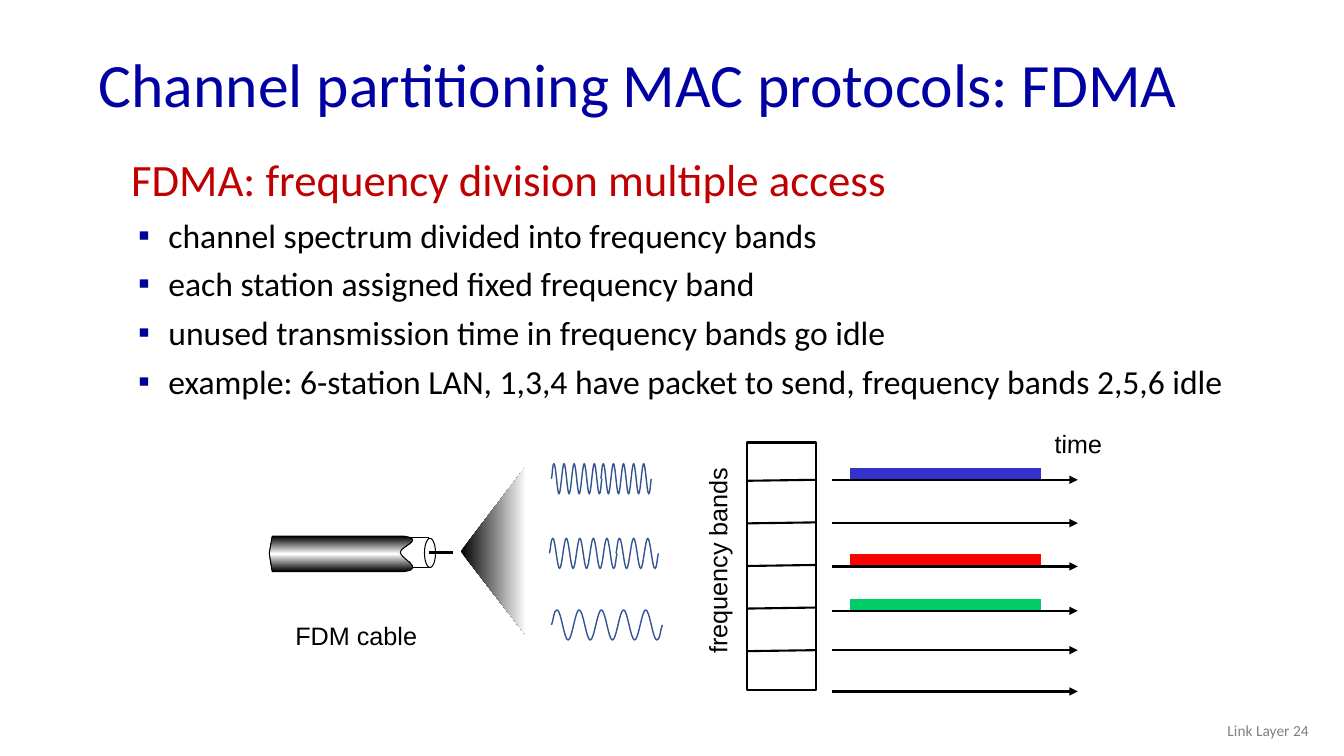
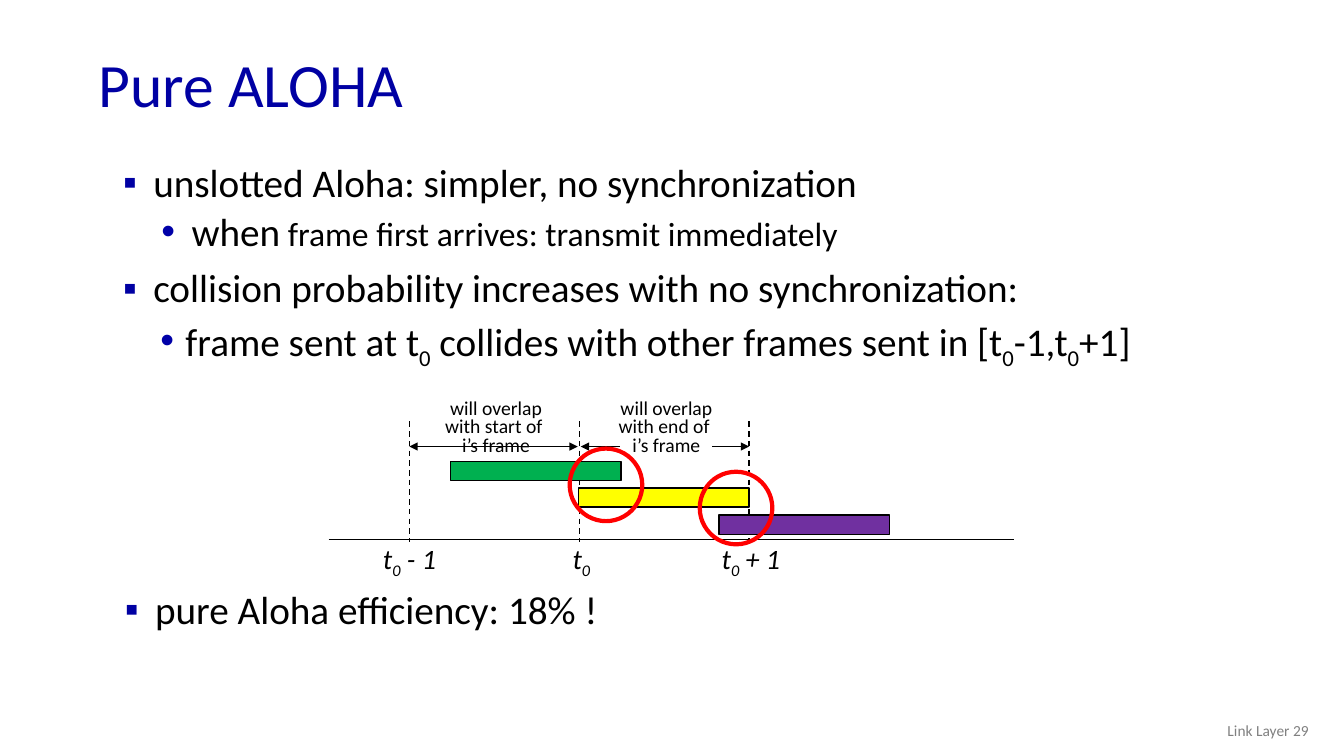
from lxml.etree import SubElement
from pptx import Presentation
from pptx.dml.color import RGBColor
from pptx.enum.dml import MSO_LINE_DASH_STYLE as Dash
from pptx.enum.shapes import MSO_CONNECTOR, MSO_SHAPE as Preset
from pptx.enum.text import MSO_ANCHOR, MSO_AUTO_SIZE, PP_ALIGN
from pptx.oxml.ns import qn
from pptx.util import Inches, Pt

# Shared look
COLORS = {
    "title": "0000A3", "heading": "C00000", "text": "000000", "footer": "808080",
    "square": "000099", "point": "0000A3", "dot": "0000A8",
    "line": "000000", "white": "FFFFFF", "wave": "325491",
    "blue": "3333CC", "red": "FF0000", "green": "00CC66",
    "early": "00B050", "frame": "FFFF00", "late": "7030A0",
}
FONT, LABEL_FONT = "Calibri", "Arial"
TITLE_PLACE = (0.88, 0.38, 11.5, 0.98)
FOOTER_PLACE = (10.08, 7.05, 3, 0.4)

# Paragraph styles: level, size, color, bullet, left, indent, line spacing, space before
STYLES = {
    "heading": (0, 32, "heading", None, 0.38, -0.38, 0.85, 0),
    "item": (0, 24, "text", ("▪", "square"), 0.37, -0.3, 1.0, 6),
    "point": (0, 28, "text", ("▪", "point"), 0.44, -0.3, 0.9, 10),
    "subpoint": (1, 28, "text", ("•", "dot"), 0.82, -0.3, 0.9, 5),
    "detail": (1, 28, "text", ("•", "dot"), 0.76, -0.25, 0.9, 5),
}

# Slide content; spans are (text, kind)
T0 = [("t", ""), ("0", "sub")]
FDMA_BODY = [
    ("heading", [("FDMA: frequency division multiple access", "")]),
    ("item", [("channel spectrum divided into frequency bands", "")]),
    ("item", [("each station assigned fixed frequency band", "")]),
    ("item", [("unused transmission time in frequency bands go idle", "")]),
    ("item", [("example: 6-station LAN, 1,3,4 have packet to send, "
               "frequency bands 2,5,6 idle", "")]),
]
BAND_ROWS = [(4.76, "blue"), (5.19, None), (5.62, "red"),
             (6.06, "green"), (6.45, None), (6.86, None)]
# Waves: left, right, middle, cycles
WAVES = [(5.47, 6.57, 6.2, 5), (5.47, 5.97, 4.75, 5), (5.96, 6.46, 4.75, 5),
         (5.45, 6.12, 5.49, 5), (6.11, 6.53, 5.49, 3)]
FDMA_LABELS = [
    ("frequency bands", (6.09, 5.36, 2.05, 0.4), 270),
    ("time", (10.36, 4.2, 0.67, 0.4), 1.1),
    ("FDM cable", (2.83, 6.1, 1.41, 0.4), 0),
]
ALOHA_BODY = [
    ("point", [("unslotted Aloha: simpler, no synchronization", "")]),
    ("subpoint", [("when", ""), (" frame first arrives: transmit immediately", "small")]),
    ("point", [("collision probability increases with no synchronization:", "")]),
    ("detail", [("frame sent at ", ""), *T0,
                (" collides with other frames sent in [", ""), *T0,
                ("-1,", ""), *T0, ("+1]", "")]),
]
ALOHA_RESULT = [("point", [("pure Aloha efficiency: 18% !", "")])]
FRAMES = [(4.47, 4.58, "early"), (5.74, 4.84, "frame"), (7.13, 5.11, "late")]
# Time marks: x, label left, label width, spans
TIME_MARKS = [(4.06, 3.7, 0.75, T0 + [(" - 1", "")]), (5.75, 5.58, 0.39, T0),
              (7.43, 7.06, 0.8, T0 + [(" + 1", "")])]
SPANS = [(4.06, 5.73), (5.76, 7.43)]
OVERLAPS = [(4.31, 1.22, "start"), (6.03, 1.16, "end")]
COLLISIONS = [(5.65, 4.45), (6.94, 4.68)]


def rgb(name):
    return RGBColor.from_string(COLORS[name])


def inches(values):
    return [Inches(value) for value in values]


# Text helpers
def set_font(font, size, color="text", name=FONT):
    font.size, font.name = Pt(size), name
    font.color.rgb = rgb(color)


def add_spans(para, spans):
    for text, kind in spans:
        span = para.add_run()
        span.text = text
        if kind == "sub":
            span.font._element.set("baseline", "-25000")
        elif kind == "small":
            span.font.size = Pt(24)


def set_bullet(para, bullet, left, indent):
    props = para._p.get_or_add_pPr()
    props.set("marL", str(Inches(left)))
    props.set("indent", str(Inches(indent)))
    if bullet is None:
        SubElement(props, qn("a:buNone"))
        return
    symbol, shade = bullet
    color = SubElement(props, qn("a:buClr"))
    SubElement(color, qn("a:srgbClr"), val=COLORS[shade])
    SubElement(props, qn("a:buFont"), typeface=LABEL_FONT)
    SubElement(props, qn("a:buChar"), char=symbol)


def fill_list(box, place, items):
    box.left, box.top, box.width, box.height = inches(place)
    frame = box.text_frame
    frame.word_wrap, frame.auto_size = True, MSO_AUTO_SIZE.NONE
    for index, (style, spans) in enumerate(items):
        para = frame.add_paragraph() if index else frame.paragraphs[0]
        level, size, color, bullet, left, indent, spacing, before = STYLES[style]
        para.level, para.line_spacing = level, spacing
        para.space_before = Pt(before if index else 0)
        set_bullet(para, bullet, left, indent)
        set_font(para.font, size, color)
        add_spans(para, spans)


def add_label(page, place, lines, size, name=FONT, color="text", align=None,
              spacing=None, italic=None, wrap=False):
    box = page.shapes.add_textbox(*inches(place))
    frame = box.text_frame
    frame.word_wrap = wrap
    for index, spans in enumerate(lines):
        para = frame.add_paragraph() if index else frame.paragraphs[0]
        para.alignment, para.line_spacing = align, spacing
        set_font(para.font, size, color, name)
        para.font.italic = italic
        add_spans(para, spans)
    return box


# Drawing helpers
def paint(shape, fill=None, line=None, width=1):
    shape.shadow.inherit = False
    if fill:
        shape.fill.solid()
        shape.fill.fore_color.rgb = rgb(fill)
    else:
        shape.fill.background()
    if line:
        shape.line.color.rgb = rgb(line)
        shape.line.width = Pt(width)
    else:
        shape.line.fill.background()


def add_preset(page, preset, place, fill=None, line=None, width=1):
    paint(page.shapes.add_shape(preset, *inches(place)), fill, line, width)


def add_outline(page, corners, curve=(), closed=True, fill=None, line=None, width=1):
    """Straight corners, then curve points in threes: two handles and an end."""
    start, *rest = [tuple(inches(point)) for point in [*corners, *curve]]
    builder = page.shapes.build_freeform(*start)
    builder.add_line_segments(rest, close=closed)
    shape = builder.convert_to_shape()
    steps = shape._element.findall(".//" + qn("a:lnTo"))[len(corners) - 1:]
    for index in range(0, len(steps), 3):
        first, *others = steps[index:index + 3]
        first.tag = qn("a:cubicBezTo")
        for step in others:
            first.append(step[0])
            step.getparent().remove(step)
    paint(shape, fill, line, width)
    return shape


def set_gradient(shape, stops, angle):
    shape.fill.gradient()
    shape.fill.gradient_angle = angle
    stop_list = shape._element.spPr.find(".//" + qn("a:gsLst"))
    for stop in list(stop_list):
        stop_list.remove(stop)
    for percent, color in stops:
        stop = SubElement(stop_list, qn("a:gs"), pos=str(percent * 1000))
        SubElement(stop, qn("a:srgbClr"), val=COLORS[color])


def add_line(page, x1, y1, x2, y2, width=1.0, dash=None, ends=()):
    line = page.shapes.add_connector(MSO_CONNECTOR.STRAIGHT, *inches((x1, y1, x2, y2)))
    line.line.color.rgb = rgb("line")
    line.line.width = Pt(width)
    if dash:
        line.line.dash_style = dash
    for end in ends:
        SubElement(line.line._get_or_add_ln(), qn("a:" + end), type="triangle")
    SubElement(line._element.spPr, qn("a:effectLst"))


def add_wave(page, left, right, middle, cycles, height=0.15):
    quarter = (right - left) / (4 * cycles)
    x, y = left + quarter, middle - height
    curve = [(left + 0.4 * quarter, middle - 0.05), (x - 0.6 * quarter, y), (x, y)]
    for _ in range(2 * cycles - 1):
        next_x, next_y = x + 2 * quarter, 2 * middle - y
        curve += [(x + 0.7 * quarter, y), (next_x - 0.7 * quarter, next_y),
                  (next_x, next_y)]
        x, y = next_x, next_y
    curve += [(x + 0.6 * quarter, y), (right - 0.4 * quarter, middle + 0.05),
              (right, middle)]
    add_outline(page, [(left, middle)], curve, closed=False, line="wave")


def add_page(deck, title, number, place, items):
    page = deck.slides.add_slide(deck.slide_layouts[1])
    heading, body = page.placeholders
    heading.left, heading.top, heading.width, heading.height = inches(TITLE_PLACE)
    frame = heading.text_frame
    frame.text = title
    frame.auto_size, frame.vertical_anchor = MSO_AUTO_SIZE.NONE, MSO_ANCHOR.MIDDLE
    para = frame.paragraphs[0]
    para.alignment, para.line_spacing = PP_ALIGN.LEFT, 0.9
    set_font(para.font, 44, "title")
    fill_list(body, place, items)
    footer = add_label(page, FOOTER_PLACE, [[(f"Link Layer {number}", "")]], 11,
                       color="footer", align=PP_ALIGN.RIGHT, wrap=True)
    footer.text_frame.vertical_anchor = MSO_ANCHOR.MIDDLE
    return page


def draw_fdma(page):
    # Frequency bands over time
    add_preset(page, Preset.RECTANGLE, (7.41, 4.39, 0.68, 2.46), "white", "line", 1.5)
    for index in range(5):
        y = 4.77 + (6.46 - 4.77) / 4 * index
        add_line(page, 7.41, y, 8.09, y - 0.01, 1.5)
    for y, color in BAND_ROWS:
        if color:
            place = [(8.43, y), (8.43, y - 0.12), (10.32, y - 0.12), (10.32, y)]
            add_outline(page, place, closed=False, fill=color)
        add_line(page, 8.25, y, 10.69, y, 1.5, ends=["tailEnd"])

    # Cable and its spreading signal
    cone = add_outline(page, [(5.22, 4.62), (4.57, 5.47), (5.22, 6.31)])
    set_gradient(cone, [(0, "line"), (100, "white")], 0)
    add_preset(page, Preset.RECTANGLE, (3.96, 5.33, 0.29, 0.3), "white", "line", 0.75)
    torn_end = [(4.22, 5.64), (3.97, 5.54), (3.97, 5.48),
                (3.97, 5.42), (4.22, 5.35), (4.01, 5.32)]
    cable = add_outline(page, [(2.7, 5.32), (2.67, 5.49), (2.7, 5.67), (4.01, 5.67)],
                        torn_end, line="line", width=0.75)
    set_gradient(cable, [(0, "line"), (50, "white"), (100, "line")], 90)
    add_preset(page, Preset.OVAL, (4.21, 5.34, 0.11, 0.29), "white", "line", 0.75)
    add_line(page, 4.25, 5.48, 4.49, 5.48, 2.25)
    for wave in WAVES:
        add_wave(page, *wave)

    for text, place, rotation in FDMA_LABELS:
        label = add_label(page, place, [[(text, "")]], 18, LABEL_FONT)
        label.rotation = rotation


def draw_aloha(page):
    # Time axis
    for left, right in SPANS:
        add_line(page, left, 4.43, right, 4.43, ends=["headEnd", "tailEnd"])
    add_preset(page, Preset.RECTANGLE, (6.15, 4.39, 0.91, 0.06), "white")
    add_line(page, 3.26, 5.35, 10.06, 5.35)
    for x, left, width, spans in TIME_MARKS:
        add_line(page, x, 4.18, x, 5.38, dash=Dash.DASH)
        add_label(page, (left, 5.32, width, 0.44), [spans], 20, italic=True)

    # Overlapping frames
    for left, top, color in FRAMES:
        add_preset(page, Preset.RECTANGLE, (left, top, 1.69, 0.19), color, "line")
    for left, width, edge in OVERLAPS:
        lines = ["will overlap", f"with {edge} of ", "i’s frame"]
        add_label(page, (left, 3.92, width, 0.67), [[(line, "")] for line in lines],
                  14, align=PP_ALIGN.CENTER, spacing=0.8)
    place = (1, 5.81, 11.5, 0.68)
    fill_list(page.shapes.add_textbox(*inches(place)), place, ALOHA_RESULT)
    for left, top in COLLISIONS:
        add_preset(page, Preset.OVAL, (left, top, 0.72, 0.72), None, "red", 3)


def main():
    deck = Presentation()
    deck.slide_width, deck.slide_height = Inches(13.33), Inches(7.5)
    draw_fdma(add_page(deck, "Channel partitioning MAC protocols: FDMA", 24,
                       (1.2, 1.54, 11.44, 2.62), FDMA_BODY))
    draw_aloha(add_page(deck, "Pure ALOHA", 29, (0.98, 1.57, 11.5, 2.53), ALOHA_BODY))
    deck.save("out.pptx")


if __name__ == "__main__":
    main()
